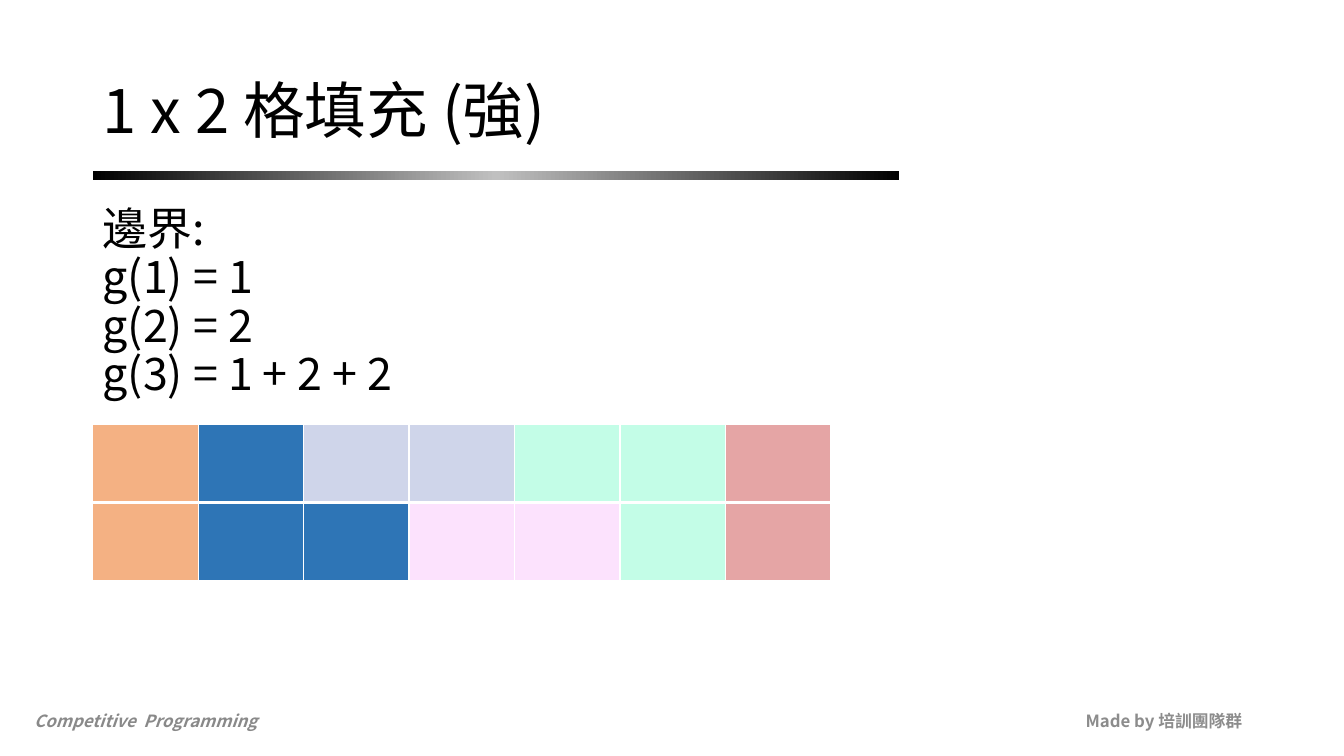
from copy import deepcopy

from lxml import etree
from pptx import Presentation
from pptx.dml.color import RGBColor
from pptx.enum import shapes, text
from pptx.oxml import ns
from pptx.util import Inches, Pt

FONT = "Noto Sans CJK SC"
HUES = {
    "black": "000000", "silver": "C0C0C0", "white": "FFFFFF",
    "gray": "898989", "ash": "8C8C8C",
    "orange": "F4B183", "blue": "2E75B6", "lilac": "CFD5EA",
    "mint": "C3FDE7", "rose": "E5A5A5", "pink": "FCE2FD",
}
TILES = [
    ["orange", "blue", "lilac", "lilac", "mint", "mint", "rose"],
    ["orange", "blue", "blue", "pink", "pink", "mint", "rose"],
]
LEFT = 0.92


def rgb(name):
    return RGBColor.from_string(HUES[name])


def add_text(slide, box, words, size, hue="black", bold=False, italic=False,
             align=text.PP_ALIGN.LEFT, anchor=text.MSO_ANCHOR.MIDDLE, gap=1.0):
    frame = slide.shapes.add_textbox(*map(Inches, box)).text_frame
    frame.word_wrap = True
    frame.vertical_anchor = anchor
    para = frame.paragraphs[0]
    para.text = words
    para.alignment = align
    para.line_spacing = gap
    font = para.font
    font.name, font.size = FONT, Pt(size)
    font.bold, font.italic = bold, italic
    font.color.rgb = rgb(hue)
    props = para._p.pPr.find(ns.qn("a:defRPr"))
    etree.SubElement(props, ns.qn("a:ea"), typeface=FONT)


def add_bar(slide, box):
    bar = slide.shapes.add_shape(shapes.MSO_SHAPE.RECTANGLE, *map(Inches, box))
    bar.shadow.inherit = False
    bar.line.fill.background()
    bar.fill.gradient()
    bar.fill.gradient_angle = 0
    first = bar.fill._fill._gradFill.gsLst[0]
    first.addnext(deepcopy(first))
    for stop, hue, pos in zip(bar.fill.gradient_stops,
                              ("black", "silver", "black"), (0, 0.5, 1)):
        stop.color.rgb = rgb(hue)
        stop.position = pos


def add_edge(cell, side, width):
    props = cell._tc.get_or_add_tcPr()
    line = etree.SubElement(props, ns.qn(f"a:ln{side}"), w=str(Pt(width)))
    solid = etree.SubElement(line, ns.qn("a:solidFill"))
    etree.SubElement(solid, ns.qn("a:srgbClr"), val=HUES["white"])


def add_tiles(slide, box):
    grid = slide.shapes.add_table(len(TILES), len(TILES[0]),
                                  *map(Inches, box)).table
    for row, hues in enumerate(TILES):
        for col, hue in enumerate(hues):
            cell = grid.cell(row, col)
            for side in "LRTB":
                inner = side == ("B" if row == 0 else "T")
                add_edge(cell, side, 3 if inner else 1)
            cell.fill.solid()
            cell.fill.fore_color.rgb = rgb(hue)


def main():
    """Build the tiling slide."""
    deck = Presentation()
    deck.slide_width, deck.slide_height = Inches(13.33), Inches(7.5)
    slide = deck.slides.add_slide(deck.slide_layouts[6])
    add_text(slide, (9.42, 6.95, 3, 0.4), "Made by 培訓團隊群", 12, "ash",
             bold=True, align=text.PP_ALIGN.RIGHT)
    add_text(slide, (0.24, 6.95, 3, 0.4), "Competitive  Programming", 12,
             "gray", bold=True, italic=True)
    add_bar(slide, (LEFT, 1.7, 8, 0.09))
    add_text(slide, (LEFT, 0.4, 11.5, 1.45), "1 x 2 格填充 (強)", 44, gap=0.9)
    add_text(slide, (LEFT, 2, 11.5, 4.76),
             "邊界:\vg(1) = 1\vg(2) = 2\vg(3) = 1 + 2 + 2", 32,
             anchor=text.MSO_ANCHOR.TOP, gap=0.9)
    add_tiles(slide, (LEFT, 4.21, 7.32, 1.55))
    deck.save("out.pptx")


if __name__ == "__main__":
    main()
